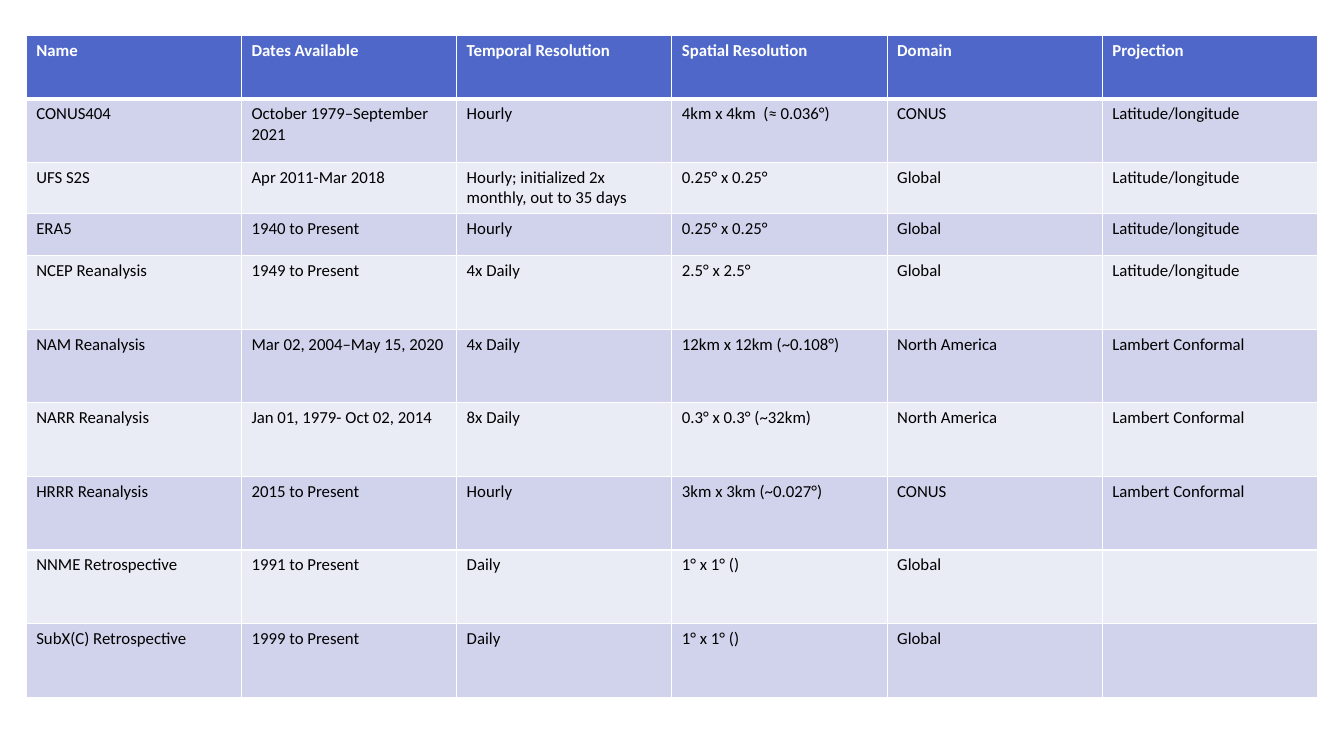
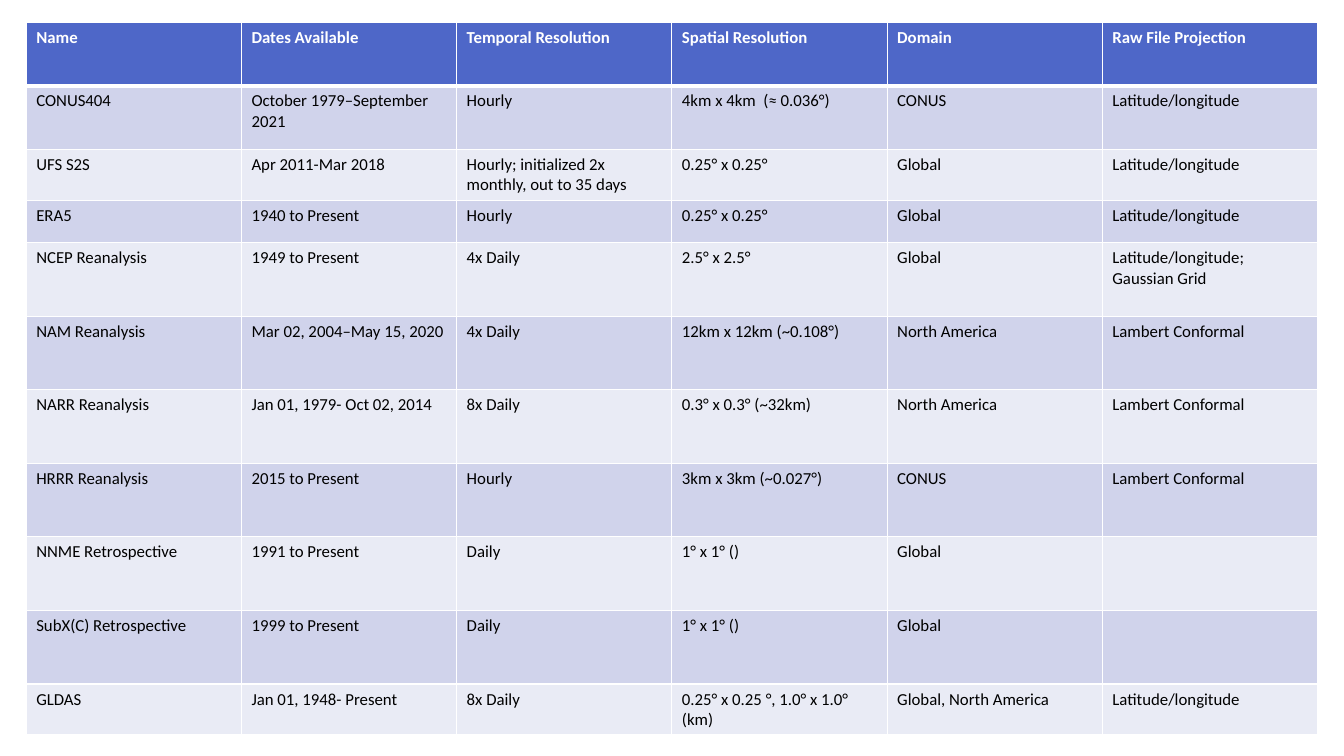
from dataclasses import dataclass

from lxml.etree import SubElement
from pptx import Presentation
from pptx.dml.color import RGBColor
from pptx.oxml.ns import qn
from pptx.util import Emu, Pt

PX = 9144
SLIDE_W, SLIDE_H = 1333, 750
LEFT, TABLE_W = 26, 1281
FONT, SIZE = "Calibri", 12
HEADER, BAND_DARK, BAND_LIGHT = "4E67C8", "D0D3EB", "E9EBF5"
WHITE, BLACK = "FFFFFF", "000000"
THIN, THICK = 1, 3
HEADER_H = 63


@dataclass(frozen=True)
class Dataset:
    height: int
    name: str
    dates: str
    temporal: str
    spatial: str
    domain: str
    projection: str = ""

    def cells(self, projection: str) -> list[str]:
        return [self.name, self.dates, self.temporal, self.spatial,
                self.domain, projection]


@dataclass(frozen=True)
class TableSlide:
    top: int
    projection_title: str
    datasets: list[Dataset]
    projections: dict[str, str]


LAT_LON, LAMBERT = "Latitude/longitude", "Lambert Conformal"
TITLES = ["Name", "Dates Available", "Temporal Resolution",
          "Spatial Resolution", "Domain"]
DATASETS = [
    Dataset(63, "CONUS404", "October 1979–September 2021", "Hourly",
            "4km x 4km  (≈ 0.036°)", "CONUS", LAT_LON),
    Dataset(48, "UFS S2S", "Apr 2011-Mar 2018",
            "Hourly; initialized 2x monthly, out to 35 days",
            "0.25° x 0.25°", "Global", LAT_LON),
    Dataset(42, "ERA5", "1940 to Present", "Hourly",
            "0.25° x 0.25°", "Global", LAT_LON),
    Dataset(73, "NCEP Reanalysis", "1949 to Present", "4x Daily",
            "2.5° x 2.5°", "Global", LAT_LON),
    Dataset(73, "NAM Reanalysis", "Mar 02, 2004–May 15, 2020", "4x Daily",
            "12km x 12km (~0.108°)", "North America", LAMBERT),
    Dataset(73, "NARR Reanalysis", "Jan 01, 1979- Oct 02, 2014", "8x Daily",
            "0.3° x 0.3° (~32km)", "North America", LAMBERT),
    Dataset(73, "HRRR Reanalysis", "2015 to Present", "Hourly",
            "3km x 3km (~0.027°)", "CONUS", LAMBERT),
    Dataset(73, "NNME Retrospective", "1991 to Present", "Daily",
            "1° x 1° ()", "Global"),
    Dataset(73, "SubX(C) Retrospective", "1999 to Present", "Daily",
            "1° x 1° ()", "Global"),
]
GLDAS = Dataset(42, "GLDAS", "Jan 01, 1948- Present", "8x Daily",
                "0.25° x 0.25 °, 1.0° x 1.0° (km)",
                "Global, North America", LAT_LON)
SLIDES = [
    TableSlide(35, "Projection", DATASETS, {}),
    TableSlide(22, "Raw File Projection", DATASETS + [GLDAS],
               {"NCEP Reanalysis": "Latitude/longitude; Gaussian Grid"}),
]


def px(length: int) -> Emu:
    return Emu(length * PX)


def rgb(color: str) -> RGBColor:
    return RGBColor.from_string(color)


def set_borders(cell, top: int, bottom: int) -> None:
    tc_pr = cell._tc.get_or_add_tcPr()
    for side, width in zip("LRTB", (THIN, THIN, top, bottom)):
        ln = SubElement(tc_pr, qn(f"a:ln{side}"), w=str(Pt(width)))
        fill = SubElement(ln, qn("a:solidFill"))
        SubElement(fill, qn("a:srgbClr"), val=WHITE)


def fill_cell(cell, text: str, row: int) -> None:
    is_header = row == 0
    set_borders(cell, THICK if row == 1 else THIN, THICK if is_header else THIN)
    cell.fill.solid()
    band = BAND_DARK if row % 2 else BAND_LIGHT
    cell.fill.fore_color.rgb = rgb(HEADER if is_header else band)
    cell.text_frame.text = text
    p = cell.text_frame.paragraphs[0]
    for r in p.runs:
        r.font.name = FONT
        r.font.size = Pt(SIZE)
        r.font.bold = is_header
        r.font.color.rgb = rgb(WHITE if is_header else BLACK)


def add_table_slide(prs, content: TableSlide) -> None:
    s = prs.slides.add_slide(prs.slide_layouts[6])
    rows = [TITLES + [content.projection_title]]
    rows += [d.cells(content.projections.get(d.name, d.projection))
             for d in content.datasets]
    heights = [HEADER_H] + [d.height for d in content.datasets]
    table = s.shapes.add_table(len(rows), len(rows[0]), px(LEFT), px(content.top),
                               px(TABLE_W), px(sum(heights))).table
    for row, (texts, height) in enumerate(zip(rows, heights)):
        table.rows[row].height = px(height)
        for col, text in enumerate(texts):
            fill_cell(table.cell(row, col), text, row)


def main() -> None:
    prs = Presentation()
    prs.slide_width, prs.slide_height = px(SLIDE_W), px(SLIDE_H)
    for content in SLIDES:
        add_table_slide(prs, content)
    prs.save("out.pptx")


if __name__ == "__main__":
    main()
